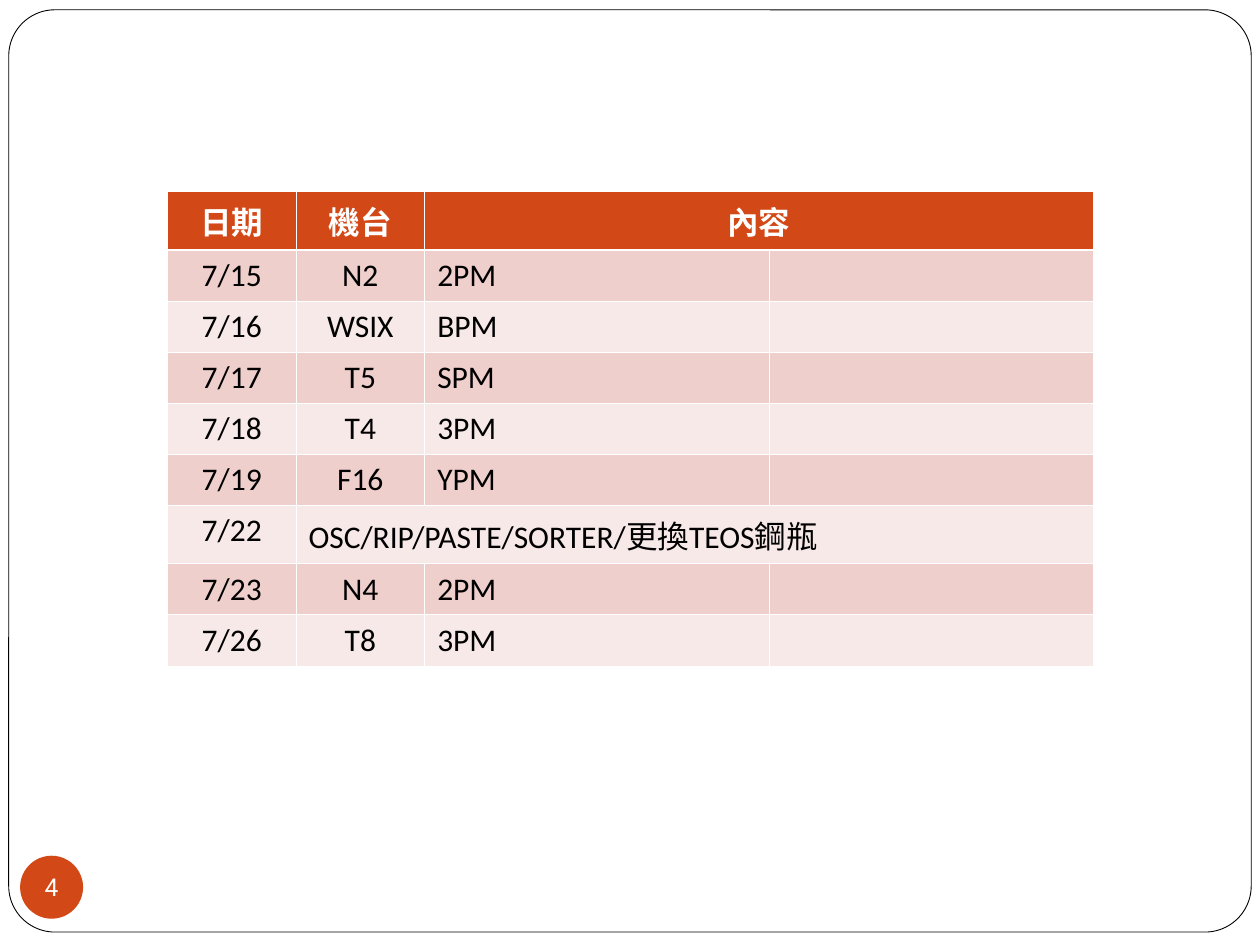
from dataclasses import dataclass

from lxml import etree
from pptx import Presentation
from pptx.dml.color import RGBColor
from pptx.enum.shapes import MSO_SHAPE
from pptx.enum.text import MSO_ANCHOR, PP_ALIGN
from pptx.oxml.ns import qn
from pptx.util import Pt

CENTER, LEFT = PP_ALIGN.CENTER, PP_ALIGN.LEFT
MIDDLE = MSO_ANCHOR.MIDDLE
ROUNDED, OVAL = MSO_SHAPE.ROUNDED_RECTANGLE, MSO_SHAPE.OVAL

HEADER = ("日期", "機台", "內容", None)
# None marks a cell that is merged into the one on its left.
SCHEDULE = [
    ("7/15", "N2", "2PM", ""),
    ("7/16", "WSIX", "BPM", ""),
    ("7/17", "T5", "SPM", ""),
    ("7/18", "T4", "3PM", ""),
    ("7/19", "F16", "YPM", ""),
    ("7/22", "OSC/RIP/PASTE/SORTER/更換TEOS鋼瓶", None, None),
    ("7/23", "N4", "2PM", ""),
    ("7/26", "T8", "3PM", ""),
]
PAGE_NUMBER = "4"

PAGE_SIZE = (720, 540)
FRAME = (5, 5.6, 710, 527)
BADGE = (11.5, 489, 36, 36)
TABLE_LEFT, TABLE_TOP = 95.8, 109.6
COLUMN_WIDTHS = (73.3, 73.6, 197, 185)
ROW_HEIGHT = 29.2


@dataclass(frozen=True)
class Theme:
    accent: str = "D34817"
    bands: tuple = ("EFCFCC", "F7E9E7")
    white: str = "FFFFFF"
    black: str = "000000"
    table_font: str = "Calibri"
    number_font: str = "Roboto"
    table_size: float = 18
    number_size: float = 14
    frame_line: float = 0.5
    thin_rule: float = 0.45
    header_rule: float = 1.47


THEME = Theme()


def write(text_frame, text, *, font, size, color, bold=False, align=LEFT):
    para = text_frame.paragraphs[0]
    para.alignment = align
    span = para.add_run()
    span.text = text
    span.font.name, span.font.size, span.font.bold = font, Pt(size), bold
    span.font.color.rgb = RGBColor.from_string(color)


def add_figure(page, kind, bounds, fill, line=None):
    shape = page.shapes.add_shape(kind, *map(Pt, bounds))
    shape.shadow.inherit = False
    shape.fill.solid()
    shape.fill.fore_color.rgb = RGBColor.from_string(fill)
    if line:
        shape.line.color.rgb = RGBColor.from_string(line)
        shape.line.width = Pt(THEME.frame_line)
    else:
        shape.line.fill.background()
    return shape


def set_borders(cell, **widths):
    """Draw white rules; widths maps L, R, T and B, in that order, to points."""
    properties = cell._tc.get_or_add_tcPr()
    for side, width in widths.items():
        rule = etree.SubElement(properties, qn(f"a:ln{side}"), w=str(int(Pt(width))))
        fill = etree.SubElement(rule, qn("a:solidFill"))
        etree.SubElement(fill, qn("a:srgbClr"), val=THEME.white)


def add_schedule(page):
    rows = [HEADER, *SCHEDULE]
    frame = page.shapes.add_table(
        len(rows), len(HEADER), Pt(TABLE_LEFT), Pt(TABLE_TOP),
        Pt(sum(COLUMN_WIDTHS)), Pt(ROW_HEIGHT * len(rows)))
    table = frame.table
    table.first_row = table.horz_banding = False
    for column, width in zip(table.columns, COLUMN_WIDTHS):
        column.width = Pt(width)
    for r, values in enumerate(rows):
        table.rows[r].height = Pt(ROW_HEIGHT)
        is_header = r == 0
        fill = THEME.accent if is_header else THEME.bands[(r - 1) % 2]
        for c, value in enumerate(values):
            cell = table.cell(r, c)
            set_borders(
                cell, L=THEME.thin_rule, R=THEME.thin_rule,
                T=THEME.header_rule if r == 1 else THEME.thin_rule,
                B=THEME.header_rule if is_header else THEME.thin_rule)
            cell.fill.solid()
            cell.fill.fore_color.rgb = RGBColor.from_string(fill)
            if value:
                spans_row = c > 0 and values[c + 1] is None
                centered = is_header or c == 0 or (c == 1 and not spans_row)
                write(cell.text_frame, value, font=THEME.table_font,
                      size=THEME.table_size, bold=is_header,
                      color=THEME.white if is_header else THEME.black,
                      align=CENTER if centered else LEFT)
        if None in values:
            table.cell(r, values.index(None) - 1).merge(table.cell(r, len(values) - 1))


def add_page_number(page):
    badge = add_figure(page, OVAL, BADGE, THEME.accent)
    box = badge.text_frame
    box.margin_left = box.margin_right = box.margin_top = box.margin_bottom = 0
    box.word_wrap = False
    box.vertical_anchor = MIDDLE
    write(box, PAGE_NUMBER, font=THEME.number_font, size=THEME.number_size,
          color=THEME.white, align=CENTER)


def main():
    deck = Presentation()
    deck.slide_width, deck.slide_height = map(Pt, PAGE_SIZE)
    page = deck.slides.add_slide(deck.slide_layouts[6])
    frame = add_figure(page, ROUNDED, FRAME, THEME.white, line=THEME.black)
    frame.adjustments[0] = 0.05
    add_page_number(page)
    add_schedule(page)
    deck.save("out.pptx")


if __name__ == "__main__":
    main()
